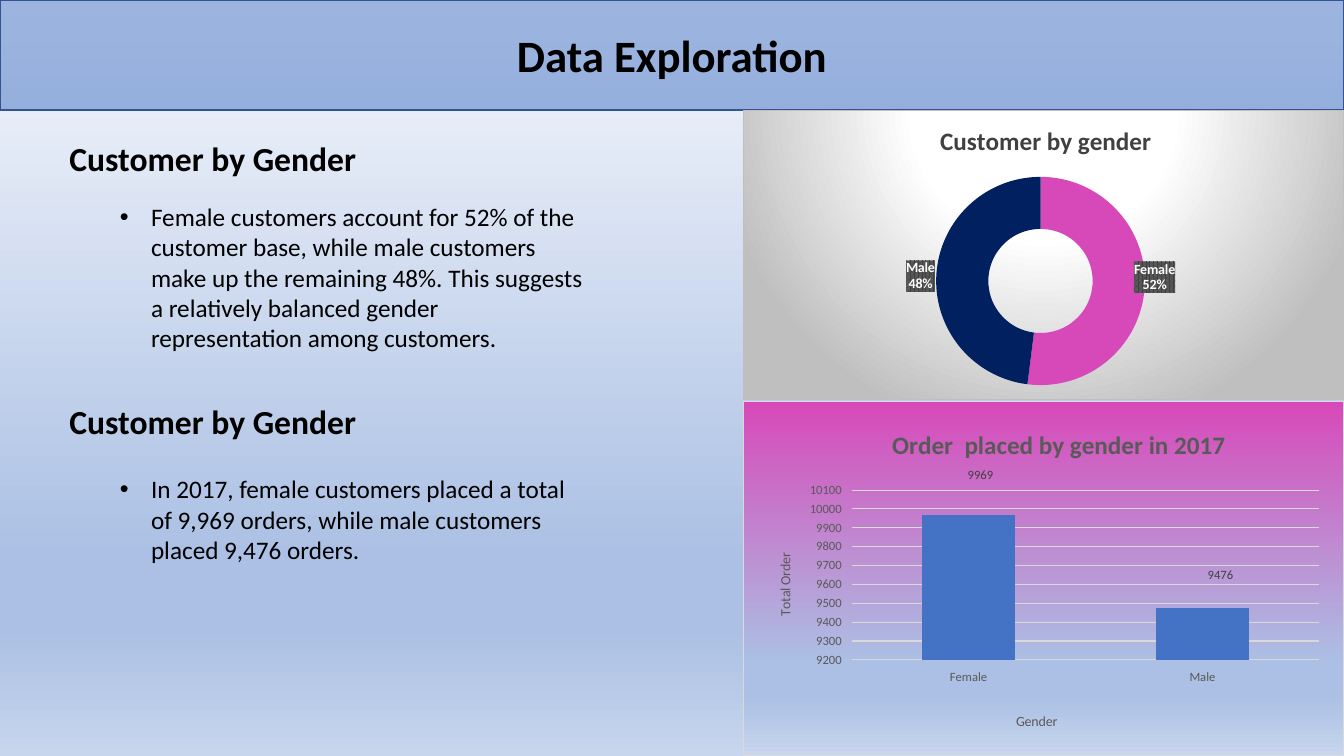
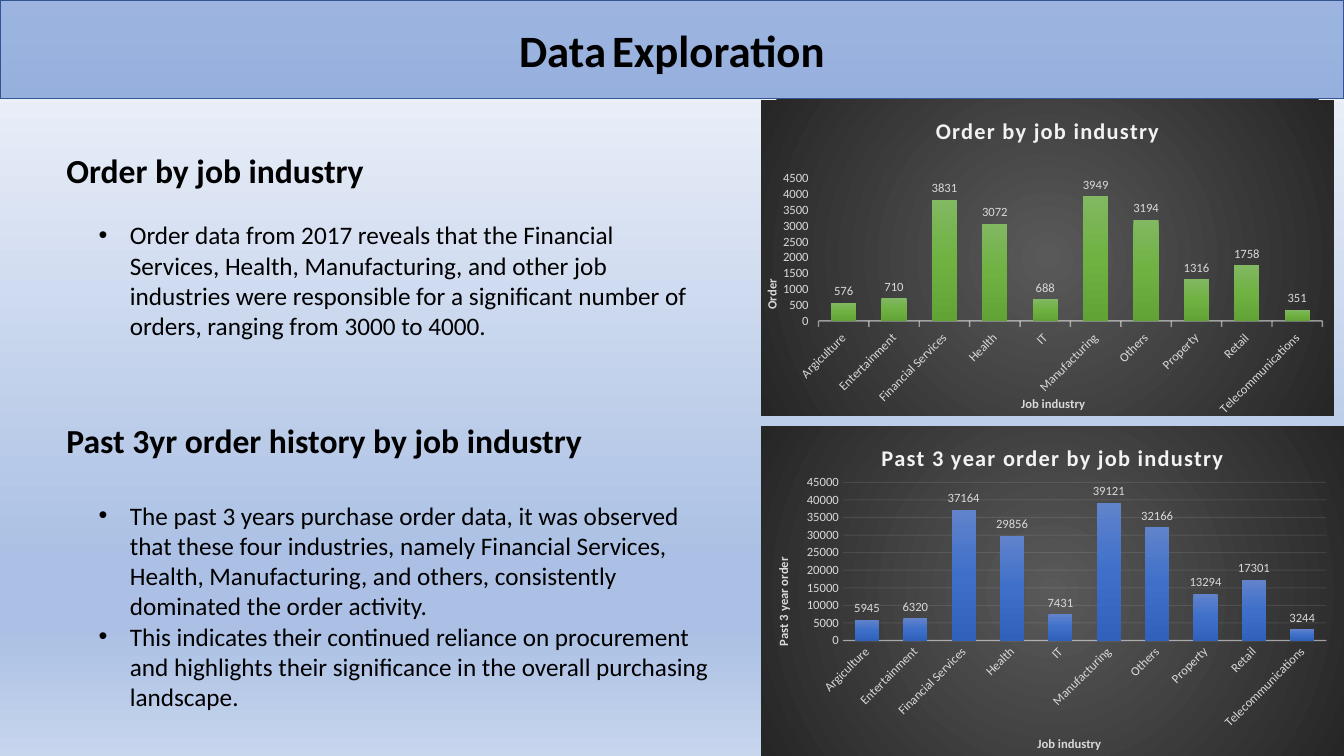
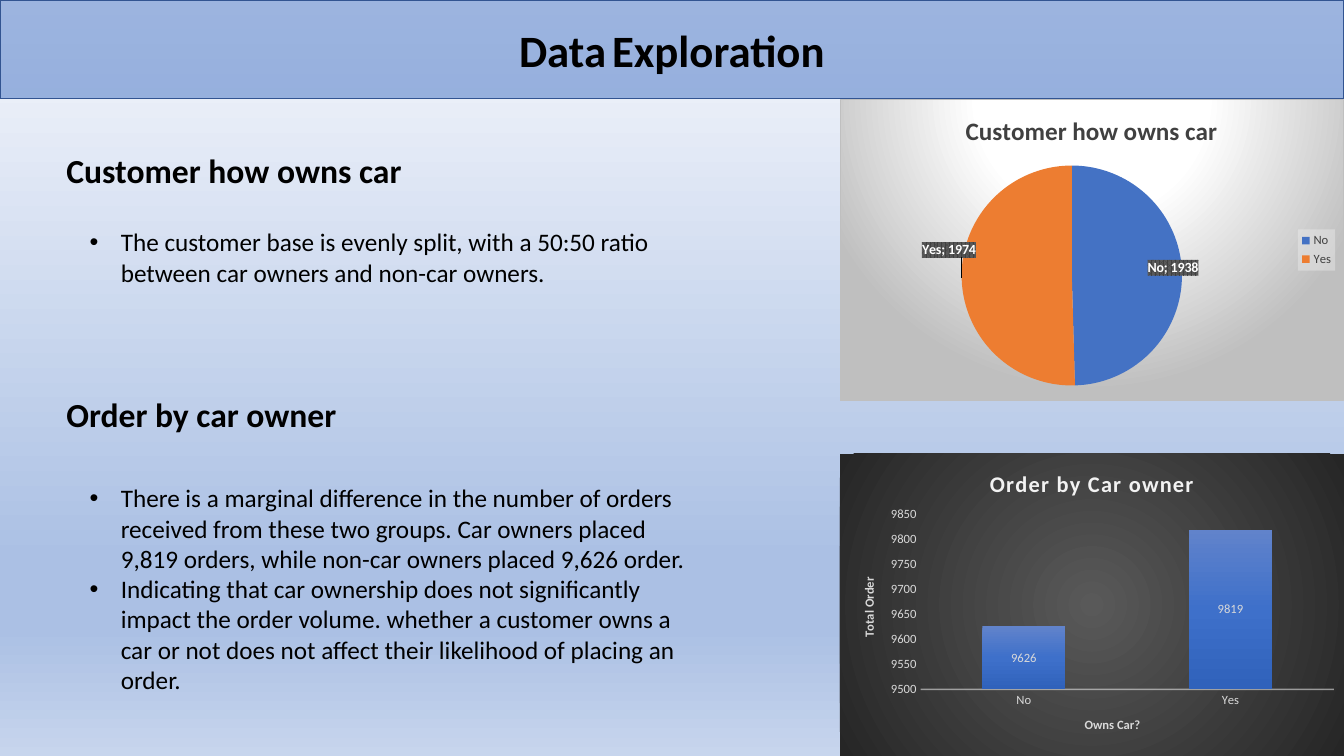
import copy
import lxml.etree
import pptx
import pptx.chart.data
import pptx.dml.color
import pptx.enum.chart
import pptx.enum.shapes
import pptx.enum.text
import pptx.oxml
import pptx.oxml.ns
import pptx.util

Inches = pptx.util.Inches
Pt = pptx.util.Pt
qn = pptx.oxml.ns.qn
ChartType = pptx.enum.chart.XL_CHART_TYPE
LabelPlace = pptx.enum.chart.XL_LABEL_POSITION
TickMark = pptx.enum.chart.XL_TICK_MARK

COLORS = {
    "black": "000000", "white": "FFFFFF", "blue": "4472C4", "navy": "002060",
    "pink": "D749B9", "orange": "ED7D31", "edge": "325491", "mist": "F2F2F2",
    "light": "D9D9D9", "silver": "BFBFBF", "gray": "595959", "charcoal": "404040",
}
RGB = {name: pptx.dml.color.RGBColor.from_string(value) for name, value in COLORS.items()}

FORMATS = {
    "title": ({"size": Pt(32), "bold": True}, "black"),
    "title gap": ({"size": Pt(18), "bold": True}, "black"),
    "heading": ({"size": Pt(24), "bold": True}, "black"),
    "body": ({"size": Pt(18), "bold": False}, "black"),
    "chart": ({"size": Pt(10)}, "black"),
    "pale title": ({"size": Pt(18), "bold": True}, "charcoal"),
    "pale label": ({"size": Pt(10), "bold": True}, "white"),
    "legend": ({"size": Pt(9), "bold": False}, "charcoal"),
    "pink title": ({"size": Pt(18), "bold": True}, "gray"),
    "pink axis title": ({"size": Pt(10), "bold": False}, "gray"),
    "pink tick": ({"size": Pt(9), "bold": False}, "gray"),
    "pink label": ({"size": Pt(9), "bold": False}, "charcoal"),
    "dark title": ({"size": Pt(16), "bold": True}, "mist"),
    "dark axis title": ({"size": Pt(9), "bold": True}, "light"),
    "dark tick": ({"size": Pt(9), "bold": False}, "light"),
    "dark label": ({"size": Pt(9), "bold": False}, "light"),
}

DOWN = '<a:lin ang="5400000" scaled="0"/>'
CIRCLE = '<a:path path="circle"><a:fillToRect l="50000" t="{}" r="50000" b="{}"/></a:path>'
SKY = [(74, "ABC0E4"), (83, "ABC0E4"), (100, "C7D5ED")]
GRADIENTS = {
    "sky": ([(0, "F6F8FC")] + SKY, DOWN),
    "pink": ([(0, "D749B9")] + SKY, DOWN),
    "pale": ([(0, "FFFFFF"), (39, "FFFFFF"), (100, "BFBFBF")], CIRCLE.format(-80000, 180000)),
    "dark": ([(0, "595959"), (100, "262626")], CIRCLE.format(50000, 50000)),
    "green bars": ([(0, "81B861"), (50, "6FB242"), (100, "62A336")], DOWN),
    "blue bars": ([(0, "6183CB"), (50, "3E70CA"), (100, "3062BB")], DOWN),
}
BORDERS = {"pale": "silver", "pink": "light"}
NAMESPACES = pptx.oxml.ns.nsdecls("a", "c")
INDUSTRIES = ["Argiculture", "Entertainment", "Financial Services", "Health", "IT",
              "Manufacturing", "Others", "Property", "Retail", "Telecommunications"]

SLIDES = [
    {
        "band": 1.09,
        "title": [("Data Exploration", "title")],
        "headings": [(0.59, 1.32, "Customer by Gender"), (0.59, 3.93, "Customer by Gender")],
        "bullets": [
            (1.09, 1.95, 4.87, 1.62, ["Female customers account for 52% of the customer base, while male customers make up the remaining 48%. This suggests a relatively balanced gender representation among customers."]),
            (1.09, 4.65, 4.87, 1.31, ["In 2017, female customers placed a total of 9,969 orders, while male customers placed 9,476 orders."]),
        ],
        "charts": [
            {"at": (7.37, 3.98, 5.96, 3.52), "type": ChartType.COLUMN_CLUSTERED, "look": "pink",
             "title": "Order  placed by gender in 2017", "title at": (0.24, 0.06),
             "names": ["Female", "Male"], "values": [9969, 9476], "bars": "blue",
             "axes": ("Gender", "Total Order"), "axes at": ((0.45, 0.87), (0.05, 0.42)),
             "scale": (9200, 10100, 100), "ticks": TickMark.OUTSIDE, "gap": 150, "overlap": 0,
             "grid": ("light", 100), "plot": (0.18, 0.25, 0.78, 0.48),
             "label": LabelPlace.OUTSIDE_END, "shifts": [(0.02, -0.08), (0.03, -0.06)]},
            {"at": (7.37, 1.09, 5.96, 2.88), "type": ChartType.DOUGHNUT, "look": "pale",
             "title": "Customer by gender", "title at": (0.32, 0.03),
             "names": ["Female", "Male"], "values": [52, 48],
             "slices": ["pink", "navy"], "separator": "\n", "plot": (0.32, 0.23, 0.35, 0.72),
             "shifts": [(0.06, -0.03), (-0.07, 0)]},
        ],
    },
    {
        "band": 0.98,
        "title": [("Data", "title"), (" ", "title gap"), ("Exploration", "title")],
        "headings": [(0.56, 1.44, "Order by job industry"),
                     (0.56, 4.12, "Past 3yr order history by job industry")],
        "bullets": [
            (0.88, 2.13, 6.14, 1.31, ["Order data from 2017 reveals that the Financial Services, Health, Manufacturing, and other job industries were responsible for a significant number of orders, ranging from 3000 to 4000."]),
            (0.88, 4.91, 6.33, 2.22, [
                "The past 3 years purchase order data, it was observed that these four industries, namely Financial Services, Health, Manufacturing, and others, consistently dominated the order activity.",
                "This indicates their continued reliance on procurement and highlights their significance in the overall purchasing landscape."]),
        ],
        "charts": [
            {"at": (7.55, 0.99, 5.68, 3.14), "type": ChartType.COLUMN_CLUSTERED, "look": "dark",
             "title": "Order by job industry", "names": INDUSTRIES,
             "values": [576, 710, 3831, 3072, 688, 3949, 3194, 1316, 1758, 351],
             "bars": "green bars", "axes": ("Job industry", "Order"),
             "axes at": ((0.45, 0.93), (0, 0.56)), "scale": (0, 4500, 500),
             "ticks": TickMark.OUTSIDE, "gap": 100, "overlap": -24, "slant": True,
             "plot": (0.1, 0.25, 0.88, 0.45), "label": LabelPlace.OUTSIDE_END},
            {"at": (7.55, 4.23, 5.78, 3.27), "type": ChartType.COLUMN_CLUSTERED, "look": "dark",
             "title": "Past 3 year order by job industry", "names": INDUSTRIES,
             "values": [5945, 6320, 37164, 29856, 7431, 39121, 32166, 13294, 17301, 3244],
             "bars": "blue bars", "axes": ("Job industry", "Past 3 year order"),
             "axes at": ((0.47, 0.93), (0.02, 0.39)), "scale": (0, 45000, 5000),
             "ticks": TickMark.NONE, "gap": 100, "overlap": -24, "slant": True,
             "grid": ("mist", 10), "plot": (0.14, 0.17, 0.83, 0.48),
             "label": LabelPlace.OUTSIDE_END},
        ],
    },
    {
        "band": 0.98,
        "title": [("Data", "title"), (" ", "title gap"), ("Exploration", "title")],
        "headings": [(0.56, 1.44, "Customer how owns car"), (0.56, 3.86, "Order by car owner")],
        "bullets": [
            (0.79, 2.2, 6.14, 0.71, ["The customer base is evenly split, with a 50:50 ratio between car owners and non-car owners."]),
            (0.79, 4.74, 6.33, 2.22, [
                "There is a marginal difference in the number of orders received from these two groups. Car owners placed 9,819 orders, while non-car owners placed 9,626 order.",
                "Indicating that car ownership does not significantly impact the order volume. whether a customer owns a car or not does not affect their likelihood of placing an order."]),
        ],
        "charts": [
            {"at": (8.33, 0.98, 5, 3), "type": ChartType.PIE, "look": "pale",
             "title": "Customer how owns car", "title at": (0.24, 0.03),
             "names": ["No", "Yes"], "values": [1938, 1974],
             "slices": ["blue", "orange"], "separator": "; ", "legend": True,
             "plot": (0.24, 0.22, 0.44, 0.73),
             "label": LabelPlace.BEST_FIT, "shifts": [(-0.08, -0.02), (0.04, -0.09)]},
            {"at": (8.33, 4.5, 5, 3), "type": ChartType.COLUMN_STACKED, "look": "dark",
             "title": "Order by Car owner", "names": ["No", "Yes"], "values": [9626, 9819],
             "bars": "blue bars", "axes": ("Owns Car?", "Total Order"),
             "scale": (9500, 9850, 50), "ticks": TickMark.NONE, "gap": 150, "overlap": 100,
             "plot": (0.16, 0.2, 0.82, 0.58), "label": LabelPlace.CENTER},
        ],
    },
]


def style(font, key):
    values, color = FORMATS[key]
    for name, value in {"name": "Calibri", **values}.items():
        setattr(font, name, value)
    font.color.rgb = RGB[color]


def place(holder, index, numbers, edge=True):
    for old in holder.findall(qn("c:layout")):
        holder.remove(old)
    parts = '<c:layoutTarget val="inner"/>' if len(numbers) == 4 else ""
    if edge:
        parts += '<c:xMode val="edge"/><c:yMode val="edge"/>'
    for tag, number in zip("xywh", numbers):
        parts += f'<c:{tag} val="{number}"/>'
    holder.insert(index, pptx.oxml.parse_xml(
        f"<c:layout {NAMESPACES}><c:manualLayout>{parts}</c:manualLayout></c:layout>"))


deck = pptx.Presentation()
deck.slide_width, deck.slide_height = Inches(13.33), Inches(7.5)
gradient_fills = []
see_through = []

for slide in SLIDES:
    page = deck.slides.add_slide(deck.slide_layouts[6])
    page.background.fill.background()
    gradient_fills.append((page.element, "sky"))

    band = page.shapes.add_shape(pptx.enum.shapes.MSO_SHAPE.RECTANGLE, 0, 0,
                                 deck.slide_width, Inches(slide["band"]))
    band.shadow.inherit = False
    band.fill.solid()
    band.fill.fore_color.rgb = RGB["blue"]
    band.line.color.rgb = RGB["edge"]
    band.line.width = Pt(1)
    see_through.append((band.element.xpath("p:spPr/a:solidFill/a:srgbClr"), 50))
    band.text_frame.vertical_anchor = pptx.enum.text.MSO_ANCHOR.MIDDLE
    para = band.text_frame.paragraphs[0]
    para.alignment = pptx.enum.text.PP_ALIGN.CENTER
    for text, key in slide["title"]:
        span = para.add_run()
        span.text = text
        style(span.font, key)

    blocks = [(left, top, 5.61, 0.5, [text], "heading") for left, top, text in slide["headings"]]
    blocks += [(*block, "body") for block in slide["bullets"]]
    for left, top, width, height, texts, key in blocks:
        box = page.shapes.add_textbox(Inches(left), Inches(top), Inches(width), Inches(height))
        frame = box.text_frame
        frame.word_wrap = True
        frame.auto_size = pptx.enum.text.MSO_AUTO_SIZE.SHAPE_TO_FIT_TEXT
        for number, text in enumerate(texts):
            para = frame.add_paragraph() if number else frame.paragraphs[0]
            if key == "body":
                layout = para._p.get_or_add_pPr()
                layout.set("marL", str(Inches(0.31)))
                layout.set("indent", str(Inches(-0.31)))
                lxml.etree.SubElement(layout, qn("a:buFont"), typeface="Arial")
                lxml.etree.SubElement(layout, qn("a:buChar"), char="•")
            span = para.add_run()
            span.text = text
            style(span.font, key)

    for item in slide["charts"]:
        look = item["look"]
        data = pptx.chart.data.CategoryChartData()
        data.categories = item["names"]
        data.add_series("Series 1", item["values"])
        chart = page.shapes.add_chart(item["type"], *map(Inches, item["at"]), data).chart
        style(chart.font, "chart")
        chart.has_legend = item.get("legend", False)
        chart.has_title = True
        plot = chart.plots[0]
        series = plot.series[0]
        plot.vary_by_categories = "slices" in item

        border = "<a:ln><a:noFill/></a:ln>"
        if look in BORDERS:
            border = f'<a:ln w="9525"><a:solidFill><a:srgbClr val="{COLORS[BORDERS[look]]}"/></a:solidFill></a:ln>'
        panel = pptx.oxml.parse_xml(f"<c:spPr {NAMESPACES}><a:noFill/>{border}</c:spPr>")
        chart.element.find(qn("c:chart")).addnext(panel)
        gradient_fills.append((panel, look))

        titles = [(chart.chart_title, item["title"], f"{look} title", item.get("title at"))]
        if "axes" in item:
            axes = (chart.category_axis, chart.value_axis)
            spots = item.get("axes at", (None, None))
            for axis, text, spot in zip(axes, item["axes"], spots):
                axis.has_title = True
                titles.append((axis.axis_title, text, f"{look} axis title", spot))
                axis.major_tick_mark = item["ticks"]
                axis.minor_tick_mark = TickMark.NONE
                style(axis.tick_labels.font, f"{look} tick")
                axis.format.line.fill.background()
                axis.has_major_gridlines = False
            scale = ("minimum_scale", "maximum_scale", "major_unit")
            for name, value in zip(scale, item["scale"]):
                setattr(chart.value_axis, name, value)
            if look == "dark":
                chart.category_axis.format.line.color.rgb = RGB["mist"]
                chart.category_axis.format.line.width = Pt(1)
                see_through.append((chart.element.xpath(".//c:catAx/c:spPr//a:srgbClr"), 54))
            if "grid" in item:
                color, opacity = item["grid"]
                chart.value_axis.has_major_gridlines = True
                grid = chart.value_axis.major_gridlines.format.line
                grid.color.rgb = RGB[color]
                grid.width = Pt(0.75)
                see_through.append((chart.element.xpath(".//c:majorGridlines//a:srgbClr"), opacity))
            if item.get("slant"):
                chart.element.xpath(".//c:catAx/c:txPr/a:bodyPr")[0].set("rot", "-2700000")
            plot.gap_width = item["gap"]
            plot.overlap = item["overlap"]
            if item["bars"] in GRADIENTS:
                series.format.fill.background()
                gradient_fills.append((chart.element.xpath(".//c:ser")[0], item["bars"]))
            else:
                series.format.fill.solid()
                series.format.fill.fore_color.rgb = RGB[item["bars"]]
        for title, text, key, spot in titles:
            para = title.text_frame.paragraphs[0]
            span = para.add_run()
            span.text = text
            style(span.font, key)
            if key == "dark title":
                span._r.get_or_add_rPr().set("spc", "100")
            if spot:
                place(title.element, 1, spot)
        for body in chart.element.xpath(".//c:valAx/c:title//a:bodyPr"):
            body.set("rot", "-5400000")
            body.set("vert", "horz")
        place(chart.element.xpath("c:chart/c:plotArea")[0], 0, item["plot"])

        labels = series.data_labels
        style(labels.font, f"{look} label")
        labels.show_value = item["type"] != ChartType.DOUGHNUT
        labels.show_percentage = item["type"] == ChartType.DOUGHNUT
        labels.show_category_name = "slices" in item
        if "label" in item:
            labels.position = item["label"]
        label_list = chart.element.xpath(".//c:ser/c:dLbls")[0]
        if "slices" in item:
            for point, color in enumerate(item["slices"]):
                fill = series.points[point].format.fill
                fill.solid()
                fill.fore_color.rgb = RGB[color]
            label_list.find(qn("c:txPr")).addprevious(pptx.oxml.parse_xml(
                f'<c:spPr {NAMESPACES}><a:pattFill prst="pct75">'
                f'<a:fgClr><a:srgbClr val="{COLORS["charcoal"]}"/></a:fgClr>'
                f'<a:bgClr><a:srgbClr val="{COLORS["gray"]}"/></a:bgClr></a:pattFill></c:spPr>'))
            separator = lxml.etree.Element(qn("c:separator"))
            separator.text = item["separator"]
            label_list.find(qn("c:showBubbleSize")).addnext(separator)
        else:
            for leader in label_list.findall(qn("c:showLeaderLines")):
                leader.set("val", "0")
        shared = [part for part in label_list if part.tag != qn("c:showLeaderLines")]
        for point, shift in enumerate(item.get("shifts", [])):
            label = pptx.oxml.parse_xml(f'<c:dLbl {NAMESPACES}><c:idx val="{point}"/></c:dLbl>')
            place(label, 1, shift, edge=False)
            for part in shared:
                label.append(copy.deepcopy(part))
            label_list.insert(point, label)

        if chart.has_legend:
            chart.legend.position = pptx.enum.chart.XL_LEGEND_POSITION.RIGHT
            chart.legend.include_in_layout = False
            style(chart.legend.font, "legend")
            back = pptx.oxml.parse_xml(
                f'<c:spPr {NAMESPACES}><a:solidFill><a:srgbClr val="{COLORS["mist"]}"/></a:solidFill></c:spPr>')
            chart.element.xpath(".//c:legend/c:txPr")[0].addprevious(back)
            see_through.append((back.xpath(".//a:srgbClr"), 39))

for root, key in gradient_fills:
    stops, direction = GRADIENTS[key]
    marks = "".join(f'<a:gs pos="{spot * 1000}"><a:srgbClr val="{color}"/></a:gs>' for spot, color in stops)
    blank = next(root.iter(qn("a:noFill")))
    blank.getparent().replace(blank, pptx.oxml.parse_xml(
        f'<a:gradFill {NAMESPACES} rotWithShape="1"><a:gsLst>{marks}</a:gsLst>{direction}</a:gradFill>'))

for colors, opacity in see_through:
    for color in colors:
        lxml.etree.SubElement(color, qn("a:alpha"), val=str(opacity * 1000))

deck.save("out.pptx")
